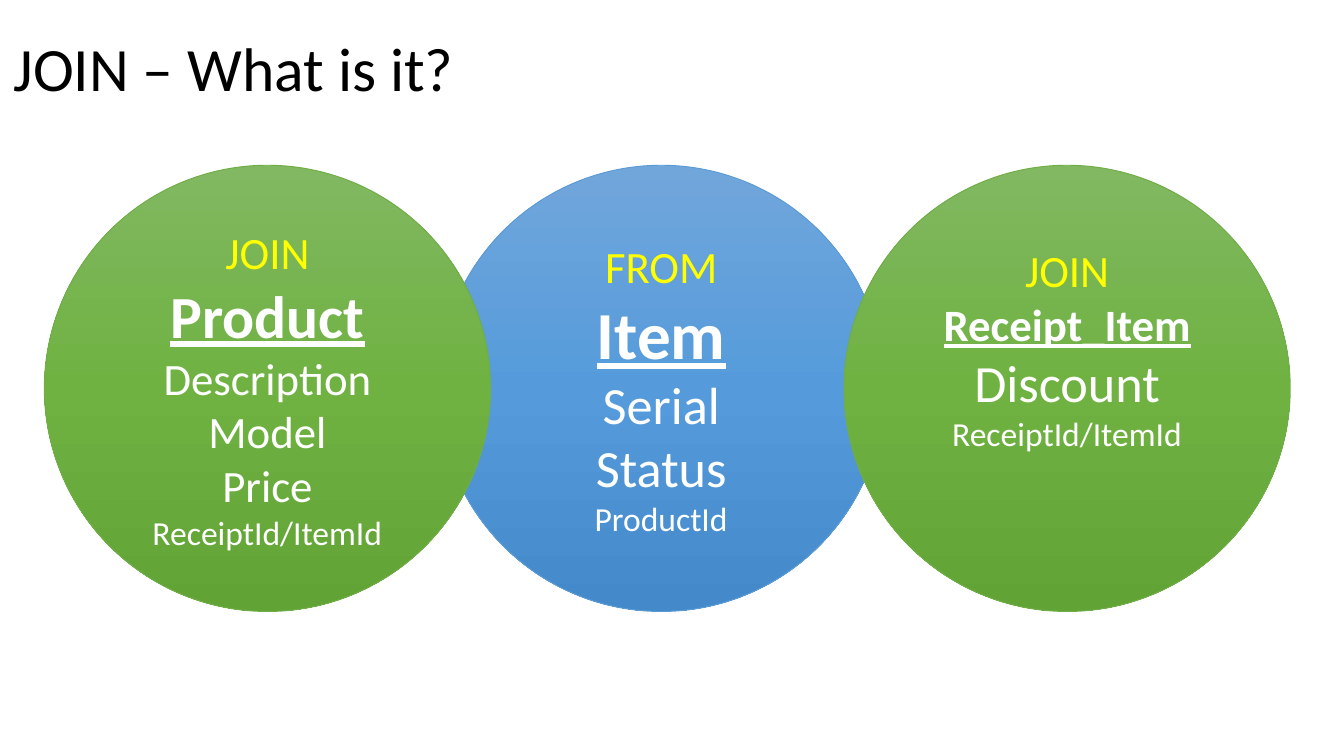
import copy

import pptx
import pptx.dml.color
import pptx.enum.shapes
import pptx.enum.text
import pptx.util

Inches = pptx.util.Inches
Pt = pptx.util.Pt

TITLE = "JOIN – What is it?"

TABLES = [
    {
        "left": 3.26, "palette": "blue", "bottom_inset": 0.05,
        "paragraphs": [
            [("FROM", "keyword", 24), ("Item", "table", 36), ("Serial", "column", 28)],
            [("Status", "column", 28), ("ProductId", "column", 18)],
        ],
    },
    {
        "left": 6.28, "palette": "green", "bottom_inset": 0.65,
        "paragraphs": [
            [("JOIN", "keyword", 24), ("Receipt_Item", "table", 24),
             ("Discount", "column", 28), ("ReceiptId/ItemId", "column", 18)],
        ],
    },
    {
        "left": 0.33, "palette": "green", "bottom_inset": 0.05,
        "paragraphs": [
            [("JOIN", "keyword", 24), ("Product", "table", 32)],
            [("Description", "column", 24)],
            [("Model", "column", 24)],
            [("Price", "column", 24), ("ReceiptId/ItemId", "column", 18)],
        ],
    },
]

THEME = {
    "font": "Calibri",
    "title_size": 33,
    "title": "000000",
    "keyword": "FFFF00",
    "table": "FFFFFF",
    "column": "FFFFFF",
    "blue": {"line": "5B9BD5", "stops": ["71A6DB", "559BDB", "448ACA"]},
    "green": {"line": "70AD47", "stops": ["81B861", "6FB242", "62A336"]},
}

CIRCLE_TOP = 1.23
CIRCLE_SIZE = 3.32


def rgb(value):
    return pptx.dml.color.RGBColor.from_string(value)


def style_span(span, role, size):
    span.font.name = THEME["font"]
    span.font.size = Pt(size)
    span.font.color.rgb = rgb(THEME[role])
    span.font.bold = span.font.underline = role == "table"


def fill_gradient(shape, colors):
    shape.fill.gradient()
    shape.fill.gradient_angle = 270
    stop_list = shape.fill._fill._gradFill.gsLst
    stop_list.insert(1, copy.deepcopy(stop_list[0]))
    for index, (stop, color) in enumerate(zip(shape.fill.gradient_stops, colors)):
        stop.position = index / (len(colors) - 1)
        stop.color.rgb = rgb(color)


def add_circle(slide, table):
    palette = THEME[table["palette"]]
    circle = slide.shapes.add_shape(
        pptx.enum.shapes.MSO_SHAPE.OVAL, Inches(table["left"]), Inches(CIRCLE_TOP),
        Inches(CIRCLE_SIZE), Inches(CIRCLE_SIZE))
    circle.shadow.inherit = False
    fill_gradient(circle, palette["stops"])
    circle.line.color.rgb = rgb(palette["line"])
    circle.line.width = Pt(0.5)

    frame = circle.text_frame
    frame.word_wrap = True
    frame.vertical_anchor = pptx.enum.text.MSO_ANCHOR.MIDDLE
    frame.margin_bottom = Inches(table["bottom_inset"])
    for index, lines in enumerate(table["paragraphs"]):
        para = frame.add_paragraph() if index else frame.paragraphs[0]
        para.text = "\v".join(text for text, role, size in lines)
        para.alignment = pptx.enum.text.PP_ALIGN.CENTER
        for span, (text, role, size) in zip(para.runs, lines):
            style_span(span, role, size)


def add_title(slide):
    title = slide.shapes.title
    title.left, title.top = Inches(0), Inches(-0.01)
    title.width, title.height = Inches(8.62), Inches(1.09)
    frame = title.text_frame
    frame.text = TITLE
    frame.word_wrap = True
    frame.vertical_anchor = pptx.enum.text.MSO_ANCHOR.MIDDLE
    para = frame.paragraphs[0]
    para.alignment = pptx.enum.text.PP_ALIGN.LEFT
    para.line_spacing = 0.9
    style_span(para.runs[0], "title", THEME["title_size"])


def main():
    deck = pptx.Presentation()
    deck.slide_width = Inches(10)
    deck.slide_height = deck.slide_width * 9 // 16
    slide = deck.slides.add_slide(deck.slide_layouts.get_by_name("Title Only"))
    add_title(slide)
    for table in TABLES:
        add_circle(slide, table)
    deck.save("out.pptx")


if __name__ == "__main__":
    main()
